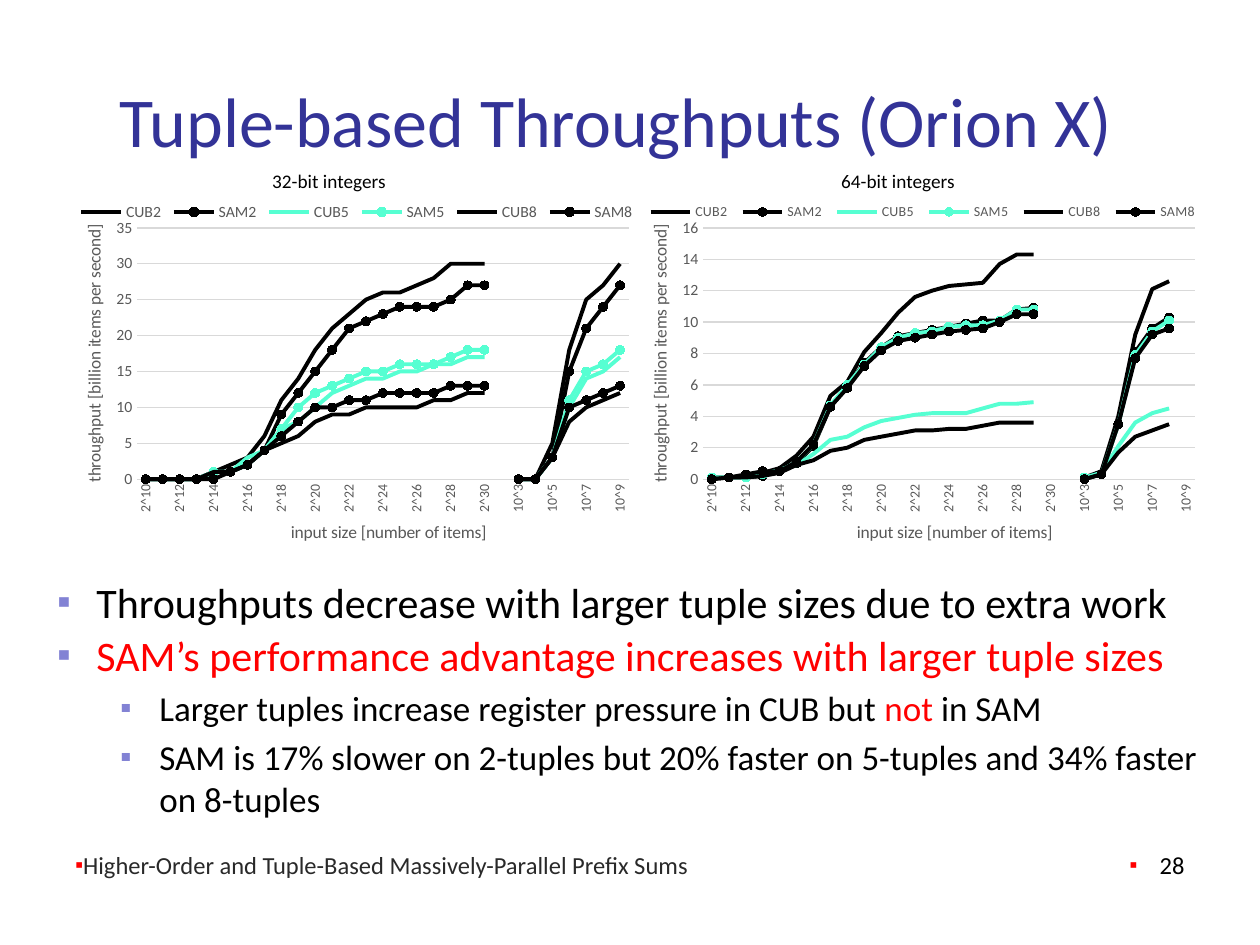
from lxml.etree import SubElement
from pptx import Presentation
from pptx.chart.data import CategoryChartData
from pptx.dml.color import RGBColor
from pptx.enum.chart import XL_CHART_TYPE, XL_LEGEND_POSITION, XL_MARKER_STYLE, XL_TICK_MARK
from pptx.enum.text import MSO_ANCHOR, PP_ALIGN
from pptx.oxml.ns import qn
from pptx.util import Emu, Pt

PX = 914400 / 126
FONT = "Calibri"
BLACK = RGBColor(0x00, 0x00, 0x00)
RED = RGBColor(0xFF, 0x00, 0x00)
TITLE_BLUE = RGBColor(0x33, 0x33, 0x97)
BULLET_BLUE = RGBColor(0x82, 0x82, 0xD4)
FOOTER_GRAY = RGBColor(0x29, 0x29, 0x29)
AXIS_GRAY = RGBColor(0x59, 0x59, 0x59)
GRID_GRAY = RGBColor(0xD9, 0xD9, 0xD9)
MINT = RGBColor(0x56, 0xFF, 0xD2)

SIZES = ([f"2^{power}" for power in range(10, 31)] + [""]
         + [f"10^{power}" for power in range(3, 10)])
SERIES_COLORS = {"CUB2": BLACK, "SAM2": BLACK, "CUB5": MINT,
                 "SAM5": MINT, "CUB8": BLACK, "SAM8": BLACK}
# Each series: powers of two, then powers of ten
THROUGHPUT_32 = {
    "CUB2": ([0, 0, 0, 0, 1, 2, 3, 6, 11, 14, 18, 21, 23, 25, 26, 26, 27, 28, 30, 30, 30],
             [0, 0, 5, 18, 25, 27, 30]),
    "SAM2": ([0, 0, 0, 0, 1, 1, 2, 4, 9, 12, 15, 18, 21, 22, 23, 24, 24, 24, 25, 27, 27],
             [0, 0, 3, 15, 21, 24, 27]),
    "CUB5": ([0, 0, 0, 0, 1, 1, 3, 4, 7, 8, 10, 12, 13, 14, 14, 15, 15, 16, 16, 17, 17],
             [0, 0, 3, 10, 14, 15, 17]),
    "SAM5": ([0, 0, 0, 0, 1, 1, 2, 4, 7, 10, 12, 13, 14, 15, 15, 16, 16, 16, 17, 18, 18],
             [0, 0, 3, 11, 15, 16, 18]),
    "CUB8": ([0, 0, 0, 0, 1, 1, 2, 4, 5, 6, 8, 9, 9, 10, 10, 10, 10, 11, 11, 12, 12],
             [0, 0, 3, 8, 10, 11, 12]),
    "SAM8": ([0, 0, 0, 0, 0, 1, 2, 4, 6, 8, 10, 10, 11, 11, 12, 12, 12, 12, 13, 13, 13],
             [0, 0, 3, 10, 11, 12, 13]),
}
THROUGHPUT_64 = {
    "CUB2": ([0.1, 0.1, 0.2, 0.4, 0.7, 1.5, 2.7, 5.3, 6.2, 8.1, 9.3, 10.6, 11.6, 12, 12.3,
              12.4, 12.5, 13.7, 14.3, 14.3], [0.1, 0.5, 4, 9.2, 12.1, 12.6]),
    "SAM2": ([0.1, 0.1, 0.1, 0.2, 0.5, 1, 2.1, 4.6, 5.9, 7.4, 8.4, 9.1, 9.3, 9.5, 9.7,
              9.9, 10.1, 10.1, 10.8, 10.9], [0.1, 0.3, 3.5, 8.1, 9.6, 10.3]),
    "CUB5": ([0.1, 0.1, 0.2, 0.3, 0.6, 0.9, 1.6, 2.5, 2.7, 3.3, 3.7, 3.9, 4.1, 4.2, 4.2,
              4.2, 4.5, 4.8, 4.8, 4.9], [0.1, 0.4, 2.1, 3.6, 4.2, 4.5]),
    "SAM5": ([0.1, 0.1, 0.1, 0.3, 0.5, 1.1, 2.2, 4.7, 6, 7.3, 8.4, 9, 9.3, 9.4, 9.7,
              9.8, 9.8, 10.1, 10.8, 10.8], [0.1, 0.3, 3.5, 7.9, 9.4, 10.1]),
    "CUB8": ([0, 0.1, 0.1, 0.2, 0.4, 0.9, 1.2, 1.8, 2, 2.5, 2.7, 2.9, 3.1, 3.1, 3.2,
              3.2, 3.4, 3.6, 3.6, 3.6], [0, 0.3, 1.7, 2.7, 3.1, 3.5]),
    "SAM8": ([0, 0.1, 0.3, 0.5, 0.5, 1.1, 2.2, 4.6, 5.8, 7.2, 8.2, 8.8, 9, 9.2, 9.4,
              9.5, 9.6, 10, 10.5, 10.5], [0, 0.3, 3.5, 7.7, 9.2, 9.6]),
}


def px(length):
    return Emu(round(length * PX))


def style_font(font, size, color):
    font.name, font.size, font.bold = FONT, Pt(size), False
    font.color.rgb = color


def add_text_frame(slide, box, anchor=MSO_ANCHOR.TOP):
    frame = slide.shapes.add_textbox(*map(px, box)).text_frame
    frame.word_wrap = True
    frame.vertical_anchor = anchor
    return frame


def add_runs(paragraph, size, *runs):
    for text, color in runs:
        run = paragraph.add_run()
        run.text = text
        style_font(run.font, size, color)


def add_bullet(paragraph, color, margin, hanging):
    properties = paragraph._p.get_or_add_pPr()
    properties.set("marL", str(px(margin)))
    properties.set("indent", str(-px(hanging)))
    bullet_color = SubElement(properties, qn("a:buClr"))
    SubElement(bullet_color, qn("a:srgbClr"), val=str(color))
    SubElement(properties, qn("a:buSzPct"), val="90000")
    SubElement(properties, qn("a:buFont"), typeface=FONT)
    SubElement(properties, qn("a:buChar"), char="▪")


def add_title(slide, box, text):
    frame = add_text_frame(slide, box, MSO_ANCHOR.MIDDLE)
    frame.margin_left = px(57)
    add_runs(frame.paragraphs[0], 40, (text, TITLE_BLUE))


def add_bullets(slide, box, items):
    """Items are (level, runs); level 0 is the outer one."""
    frame = add_text_frame(slide, box)
    for index, (level, runs) in enumerate(items):
        size = 20 if level else 24
        paragraph = frame.add_paragraph() if index else frame.paragraphs[0]
        if index:
            paragraph.space_before = Pt(size * 0.2)
        add_bullet(paragraph, BULLET_BLUE, 102 + 63 * level, 39)
        add_runs(paragraph, size, *runs)


def add_footer(slide, box, text, color, hanging, align=PP_ALIGN.LEFT):
    paragraph = add_text_frame(slide, box, MSO_ANCHOR.BOTTOM).paragraphs[0]
    add_bullet(paragraph, RED, hanging, hanging)
    paragraph.alignment = align
    add_runs(paragraph, 14, (text, color))


def set_layout(parent, position, **values):
    """Give a chart part a manual layout in fractions of the chart."""
    for layout in parent.findall(qn("c:layout")):
        parent.remove(layout)
    layout = SubElement(parent, qn("c:layout"))
    manual = SubElement(layout, qn("c:manualLayout"))
    for name, value in values.items():
        SubElement(manual, qn(f"c:{name}"), val=str(value))
    parent.insert(position, layout)


def style_axis(axis, title, label_size, x, y):
    axis.major_tick_mark = axis.minor_tick_mark = XL_TICK_MARK.NONE
    style_font(axis.tick_labels.font, label_size, AXIS_GRAY)
    frame = axis.axis_title.text_frame
    add_runs(frame.paragraphs[0], 10, (title, AXIS_GRAY))
    set_layout(axis.axis_title._element, 1, xMode="edge", yMode="edge", x=x, y=y)
    return frame


def add_throughput_chart(slide, box, throughput, maximum, step, legend_size):
    data = CategoryChartData()
    data.categories = SIZES
    for name, (binary, decimal) in throughput.items():
        padding = [None] * (22 - len(binary))
        data.add_series(name, binary + padding + decimal + [None] * (7 - len(decimal)))
    chart = slide.shapes.add_chart(XL_CHART_TYPE.LINE_MARKERS, *map(px, box), data).chart
    chart.has_title = False
    style_font(chart.font, 10, BLACK)
    chart.plots[0].vary_by_categories = False
    set_layout(chart._chartSpace.chart.plotArea, 0, layoutTarget="inner", xMode="edge",
               yMode="edge", x=0.12, y=0.11, w=0.85, h=0.71)

    chart.has_legend = True
    legend = chart.legend
    legend.position = XL_LEGEND_POSITION.TOP
    legend.include_in_layout = False
    style_font(legend.font, legend_size, AXIS_GRAY)
    set_layout(legend._element, 1, xMode="edge", yMode="edge", x=0.01, y=0.03, w=0.98, h=0.07)

    for series in chart.plots[0].series:
        color = SERIES_COLORS[series.name]
        series.smooth = False
        series.format.line.width = Pt(2.25)
        series.format.line.color.rgb = color
        marker = series.marker
        if series.name.startswith("SAM"):
            marker.style, marker.size = XL_MARKER_STYLE.CIRCLE, 5
            marker.format.fill.solid()
            marker.format.fill.fore_color.rgb = color
            marker.format.line.color.rgb = color
        else:
            marker.style = XL_MARKER_STYLE.NONE

    sizes = chart.category_axis
    style_axis(sizes, "input size [number of items]", 8, 0.38, 0.93)
    sizes.format.line.color.rgb = GRID_GRAY
    sizes.format.line.width = Pt(0.75)
    sizes._element.find(qn("c:txPr")).find(qn("a:bodyPr")).set("rot", "-5400000")
    label_skip = SubElement(sizes._element, qn("c:tickLblSkip"), val="2")
    sizes._element.find(qn("c:noMultiLvlLbl")).addprevious(label_skip)

    values = chart.value_axis
    frame = style_axis(values, "throughput [billion items per second]", 9, 0.02, 0.1)
    frame._txBody.find(qn("a:bodyPr")).set("rot", "-5400000")
    values.minimum_scale, values.maximum_scale, values.major_unit = 0, maximum, step
    values.format.line.fill.background()
    values.major_gridlines.format.line.color.rgb = GRID_GRAY
    values.major_gridlines.format.line.width = Pt(0.75)


def add_chart_heading(slide, box, text):
    paragraph = add_text_frame(slide, box).paragraphs[0]
    paragraph.alignment = PP_ALIGN.CENTER
    paragraph.line_spacing = Pt(12)
    add_runs(paragraph, 11, (text, BLACK))


def main():
    presentation = Presentation()
    presentation.slide_width, presentation.slide_height = px(1260), px(945)
    slide = presentation.slides.add_slide(presentation.slide_layouts[6])
    add_title(slide, (63, 76, 1134, 88), "Tuple-based Throughputs (Orion X)")
    add_footer(slide, (63, 823, 756, 63),
               "Higher-Order and Tuple-Based Massively-Parallel Prefix Sums", FOOTER_GRAY, 0)
    add_chart_heading(slide, (35, 165, 588, 35), "32-bit integers")
    add_chart_heading(slide, (604, 165, 588, 35), "64-bit integers")
    add_bullets(slide, (-18, 570, 1252, 63), [
        (0, [("Throughputs decrease with larger tuple sizes due to extra work", BLACK)])])
    add_bullets(slide, (-18, 623, 1230, 208), [
        (0, [("SAM’s performance advantage increases with larger tuple sizes", RED)]),
        (1, [("Larger tuples increase register pressure in CUB but ", BLACK),
             ("not", RED), (" in SAM", BLACK)]),
        (1, [("SAM is 17% slower on 2-tuples but 20% faster on 5-tuples and 34% faster "
              "on 8-tuples", BLACK)])])
    add_footer(slide, (935, 823, 262, 63), "28", BLACK, 30, PP_ALIGN.RIGHT)
    add_throughput_chart(slide, (68, 189, 578, 359), THROUGHPUT_32, 35, 5, 9)
    add_throughput_chart(slide, (634, 189, 578, 359), THROUGHPUT_64, 16, 2, 8)
    presentation.save("out.pptx")


if __name__ == "__main__":
    main()
